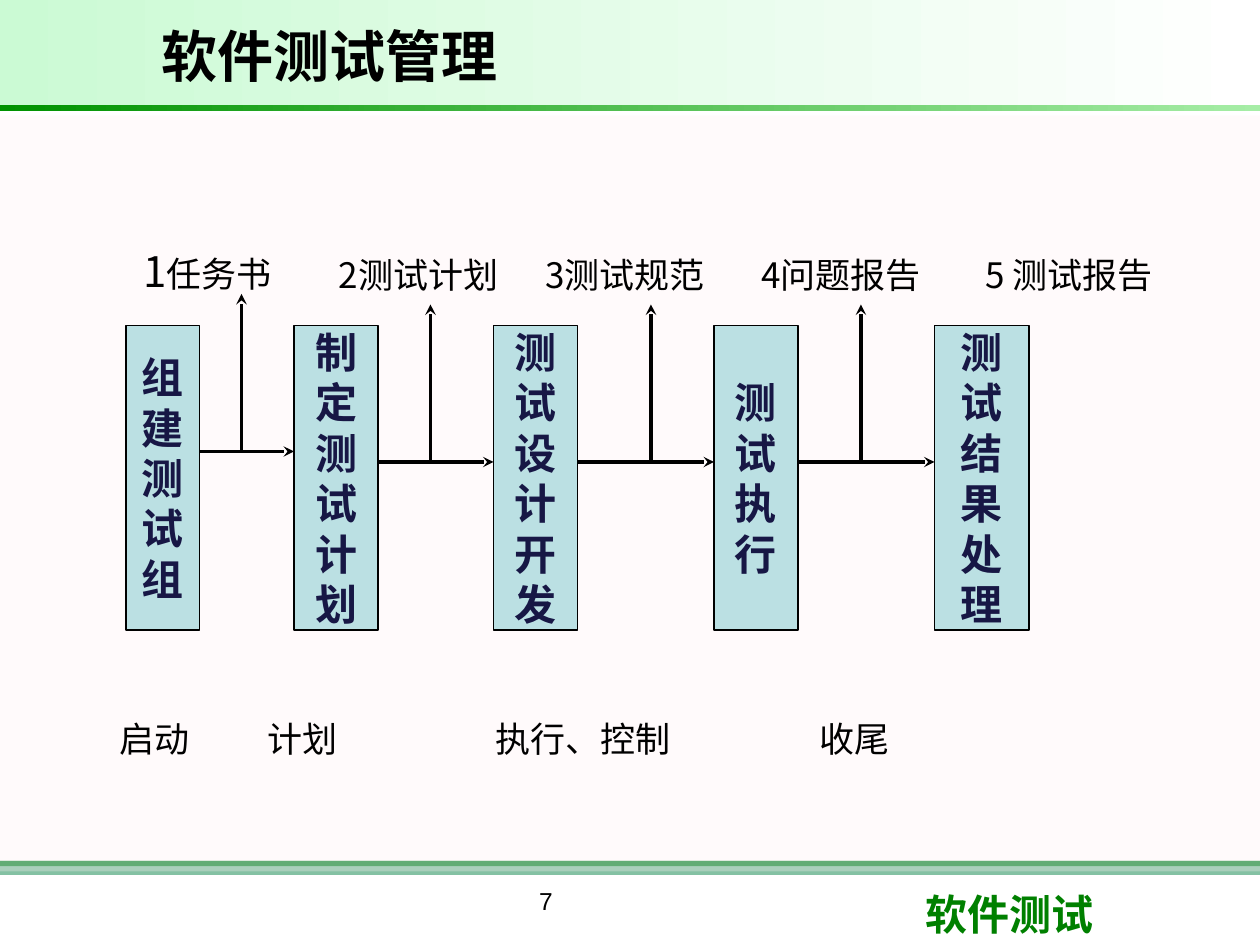
from lxml.etree import SubElement
from pptx import Presentation
from pptx.dml.color import RGBColor
from pptx.enum.shapes import MSO_CONNECTOR, MSO_SHAPE
from pptx.enum.text import MSO_ANCHOR, PP_ALIGN
from pptx.oxml.ns import qn
from pptx.util import Pt

CJK = "Noto Sans CJK SC"

# Content: bands are left, top, width, height, colour, opacity in percent
BANDS = [
    (0, 492, 720, 3, "008000", 100),
    (0, 492, 720, 8, "339966", 60),
    (0, 66, 720, 432, "FFF0F5", 30),
]
GRADIENT_BANDS = [
    (0, 0, 720, 60, "CBFAD4", "FFFFFF"),
    (0, 60, 720, 3.6, "009200", "A6EDA6"),
]
STEPS = [  # left, width, name
    (72, 42, "组建测试组"),
    (168, 48, "制定测试计划"),
    (282, 48, "测试设计开发"),
    (408, 48, "测试执行"),
    (534, 54, "测试结果处理"),
]
OUTPUT_ARROWS = [(138, 258), (246, 264), (372, 264), (492, 264)]  # x, flow line y
OUTPUTS = [  # left, number, number size, name
    (82, "1", 24, "任务书"),
    (193.5, "2", 20, "测试计划"),
    (311.5, "3", 20, "测试规范"),
    (435, "4", 20, "问题报告"),
    (563, "5 ", 20, "测试报告"),
]
PHASES = [(68, "启动"), (153, "计划"), (283, "执行、控制"), (468, "收尾")]
STEP_TOP, STEP_HEIGHT, ARROW_RISE = 186, 174, 90
OUTPUT_BOTTOM, PHASE_BOTTOM, LABEL_HEIGHT = 169, 434, 36


def rgb(value):
    return RGBColor.from_string(value)


def apply(target, values):
    for name, value in values.items():
        setattr(target, name, value)


def add_span(para, text, size, color="000000", bold=False, font=CJK):
    span = para.add_run()
    span.text = text
    apply(span.font, {"size": Pt(size), "bold": bold, "name": font})
    span.font.color.rgb = rgb(color)
    SubElement(span.font._element, qn("a:ea")).set("typeface", font)


def add_box(page, left, top, width, height, wrap=True, inset=None, anchor=MSO_ANCHOR.TOP):
    box = page.shapes.add_textbox(Pt(left), Pt(top), Pt(width), Pt(height))
    apply(box.text_frame, {"word_wrap": wrap, "vertical_anchor": anchor})
    if inset is not None:
        set_inset(box.text_frame, inset)
    return box.text_frame.paragraphs[0]


def set_inset(frame, inset):
    sides = ("left", "top", "right", "bottom")
    apply(frame, {f"margin_{side}": Pt(inset) for side in sides})


def add_rectangle(page, left, top, width, height):
    shape = page.shapes.add_shape(
        MSO_SHAPE.RECTANGLE, Pt(left), Pt(top), Pt(width), Pt(height))
    shape.shadow.inherit = False
    shape.line.fill.background()
    return shape


def fill_solid(shape, color, opacity=100):
    shape.fill.solid()
    shape.fill.fore_color.rgb = rgb(color)
    if opacity < 100:
        node = shape._element.spPr.find(".//" + qn("a:srgbClr"))
        SubElement(node, qn("a:alpha")).set("val", str(opacity * 1000))


def add_arrow(page, x1, y1, x2, y2):
    arrow = page.shapes.add_connector(
        MSO_CONNECTOR.STRAIGHT, Pt(x1), Pt(y1), Pt(x2), Pt(y2))
    arrow.line.color.rgb = rgb("000000")
    arrow.line.width = Pt(2)
    SubElement(arrow.line._get_or_add_ln(), qn("a:tailEnd")).set("type", "stealth")
    SubElement(arrow._element.spPr, qn("a:effectLst"))


def add_label(page, left, bottom, *spans):
    para = add_box(page, left, bottom - LABEL_HEIGHT, 110, LABEL_HEIGHT,
                   wrap=False, inset=0, anchor=MSO_ANCHOR.BOTTOM)
    for text, size in spans:
        add_span(para, text, size)


def add_step(page, left, width, name):
    shape = add_rectangle(page, left, STEP_TOP, width, STEP_HEIGHT)
    fill_solid(shape, "BBE0E3")
    shape.line.color.rgb = rgb("000000")
    shape.line.width = Pt(0.75)
    frame = shape.text_frame
    set_inset(frame, 0)
    apply(frame, {"word_wrap": False, "vertical_anchor": MSO_ANCHOR.MIDDLE})
    for index, character in enumerate(name):
        para = frame.add_paragraph() if index else frame.paragraphs[0]
        apply(para, {"alignment": PP_ALIGN.CENTER, "line_spacing": Pt(28.8)})
        add_span(para, character, 24, "171745", True)


def main():
    deck = Presentation()
    apply(deck, {"slide_width": Pt(720), "slide_height": Pt(540)})
    page = deck.slides.add_slide(deck.slide_layouts[6])

    # Background bands
    for *place, color, opacity in BANDS:
        fill_solid(add_rectangle(page, *place), color, opacity)
    for *place, start, end in GRADIENT_BANDS:
        fill = add_rectangle(page, *place).fill
        fill.gradient()
        fill.gradient_angle = 0
        for stop, color in zip(fill.gradient_stops, (start, end)):
            stop.color.rgb = rgb(color)

    # Title, footer and page number
    title = add_box(page, 85, 6, 502, 51, anchor=MSO_ANCHOR.MIDDLE)
    add_span(title, "软件测试管理", 32, bold=True, font="Arial")
    footer = add_box(page, 522, 504, 171, 36)
    add_span(footer, "软件测试", 24, "008000", True, "Roboto")
    number = add_box(page, 198, 503, 228, 37)
    number.alignment = PP_ALIGN.CENTER
    add_span(number, "7", 14, font="Arial")

    # Outputs above the steps, phases below
    for left, digit, size, name in OUTPUTS:
        add_label(page, left, OUTPUT_BOTTOM, (digit, size), (name, 20))
    for left, name in PHASES:
        add_label(page, left, PHASE_BOTTOM, (name, 20))

    # Steps, flow arrows between them and arrows up to the outputs
    for step in STEPS:
        add_step(page, *step)
    for (left, width, _), following, (x, y) in zip(STEPS, STEPS[1:], OUTPUT_ARROWS):
        add_arrow(page, left + width, y, following[0], y)
        add_arrow(page, x, y, x, y - ARROW_RISE)

    deck.save("out.pptx")


if __name__ == "__main__":
    main()
